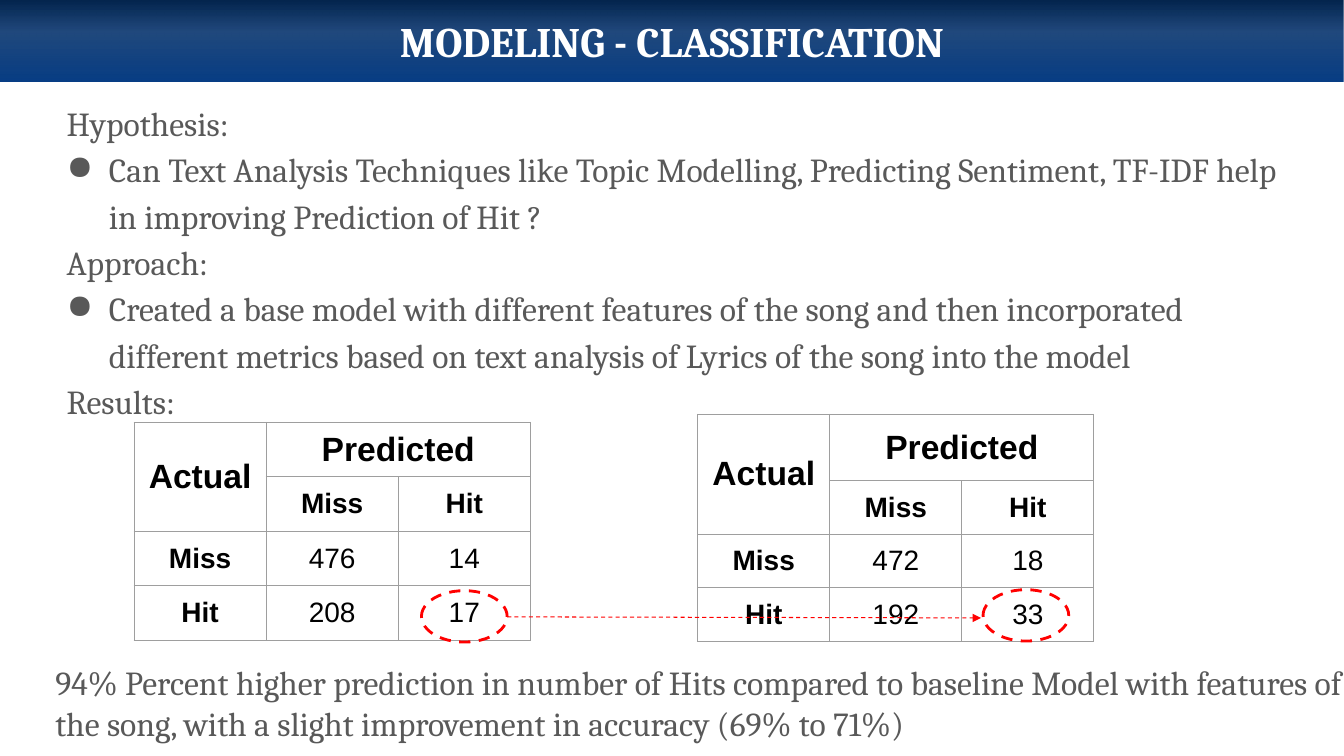
from lxml.etree import SubElement
from pptx import Presentation
from pptx.dml.color import RGBColor
from pptx.enum.dml import MSO_LINE
from pptx.enum.shapes import MSO_CONNECTOR, MSO_SHAPE
from pptx.enum.text import MSO_ANCHOR, PP_ALIGN
from pptx.oxml import parse_xml
from pptx.oxml.ns import nsdecls, qn
from pptx.util import Inches, Pt

COLORS = {
    "white": "FFFFFF", "black": "000000", "text": "595959",
    "border": "9E9E9E", "accent": "FF0000",
    "navy": "04244C", "mid_blue": "07346E", "blue": "083E85",
}
HEADING_FONT, TABLE_FONT = "Cambria", "Arial"

BODY = [
    ("Hypothesis:", False),
    ("Can Text Analysis Techniques like Topic Modelling, Predicting Sentiment, "
     "TF-IDF help in improving Prediction of Hit ?", True),
    ("Approach:", False),
    ("Created a base model with different features of the song and then incorporated "
     "different metrics based on text analysis of Lyrics of the song into the model", True),
    ("Results:", False),
]
CONCLUSION = ("94% Percent higher prediction in number of Hits compared to baseline Model "
              "with features of the song, with a slight improvement in accuracy (69% to 71%)")


def rgb(name):
    return RGBColor.from_string(COLORS[name])


class SlideBuilder:
    """Holds the style and the slide being filled."""

    def __init__(self, slide):
        self.s = slide

    def style(self, p, font, size, color, bold=False):
        for r in p.runs:
            r.font.name, r.font.size, r.font.bold = font, Pt(size), bold
            r.font.color.rgb = rgb(color)

    def insets(self, tf, x, y):
        tf.word_wrap = True
        tf.margin_left = tf.margin_right = Inches(x)
        tf.margin_top = tf.margin_bottom = Inches(y)

    def banner(self, text, width, height):
        sp = self.s.shapes.add_shape(MSO_SHAPE.RECTANGLE, 0, 0, Inches(width), Inches(height))
        sp.shadow.inherit = False
        sp.line.fill.background()
        sp.fill.gradient()
        sp.fill.gradient_angle = 270
        stops = sp._element.spPr.find(qn("a:gradFill")).find(qn("a:gsLst"))
        for stop in list(stops):
            stops.remove(stop)
        for pos, color, alpha in ((0, "navy", 100), (39, "mid_blue", 89), (100, "blue", 100)):
            stop = SubElement(stops, qn("a:gs"), pos=str(pos * 1000))
            clr = SubElement(stop, qn("a:srgbClr"), val=COLORS[color])
            if alpha < 100:
                SubElement(clr, qn("a:alpha"), val=str(alpha * 1000))
        tf = sp.text_frame
        self.insets(tf, 0.1, 0.1)
        tf.vertical_anchor = MSO_ANCHOR.MIDDLE
        tf.text = text
        p = tf.paragraphs[0]
        p.alignment = PP_ALIGN.CENTER
        self.style(p, HEADING_FONT, 30, "white", True)

    def text_box(self, x, y, w, h, inset_x, inset_y):
        sp = self.s.shapes.add_textbox(Inches(x), Inches(y), Inches(w), Inches(h))
        self.insets(sp.text_frame, inset_x, inset_y)
        return sp.text_frame

    def outline(self, x, y, w, h, items):
        """Plain headings with bulleted points under them."""
        tf = self.text_box(x, y, w, h, 0.13, 0.13)
        tf.text = "\n".join(text for text, _ in items)
        for p, (_, bulleted) in zip(tf.paragraphs, items):
            p.line_spacing = 1.15
            self.style(p, HEADING_FONT, 24, "text")
            pPr = p._p.get_or_add_pPr()
            pPr.set("marL", str(Inches(0.5 if bulleted else 0.08)))
            pPr.set("indent", str(Inches(-0.42 if bulleted else 0)))
            if bulleted:
                clr = SubElement(pPr, qn("a:buClr"))
                SubElement(clr, qn("a:srgbClr"), val=COLORS["text"])
                SubElement(pPr, qn("a:buChar"), char="●")

    def paragraph(self, x, y, w, h, text):
        tf = self.text_box(x, y, w, h, 0.1, 0.05)
        tf.text = text
        self.style(tf.paragraphs[0], HEADING_FONT, 24, "text")

    def cell(self, cell, text, size, bold):
        cell.fill.background()
        cell.vertical_anchor = MSO_ANCHOR.MIDDLE
        cell.margin_left = cell.margin_right = Inches(0.09)
        cell.margin_top = cell.margin_bottom = Inches(0.04)
        cell.text = text
        p = cell.text_frame.paragraphs[0]
        p.alignment = PP_ALIGN.CENTER
        self.style(p, TABLE_FONT, size, "black", bold)
        tcPr = cell._tc.get_or_add_tcPr()
        for i, side in enumerate("LRTB"):
            tcPr.insert(i, parse_xml(
                f'<a:ln{side} {nsdecls("a")} w="{Pt(0.75)}"><a:solidFill>'
                f'<a:srgbClr val="{COLORS["border"]}"/></a:solidFill></a:ln{side}>'))

    def confusion_matrix(self, x, y, row_heights, miss, hit):
        rows = [("Actual", "Predicted", ""), ("", "Miss", "Hit"),
                ("Miss", *miss), ("Hit", *hit)]
        col_width = 1.31
        table = self.s.shapes.add_table(
            4, 3, Inches(x), Inches(y), Inches(3 * col_width), Inches(sum(row_heights))).table
        table.first_row = table.horz_banding = False
        for col in table.columns:
            col.width = Inches(col_width)
        for i, (values, height) in enumerate(zip(rows, row_heights)):
            table.rows[i].height = Inches(height)
            for j, value in enumerate(values):
                self.cell(table.cell(i, j), str(value), 24 if i == 0 else 20, i < 2 or j == 0)
        table.cell(0, 0).merge(table.cell(1, 0))
        table.cell(0, 1).merge(table.cell(0, 2))

    def dashed(self, line, width):
        line.color.rgb = rgb("accent")
        line.width = Pt(width)
        line.dash_style = MSO_LINE.DASH

    def ring(self, x, y):
        sp = self.s.shapes.add_shape(
            MSO_SHAPE.OVAL, Inches(x), Inches(y), Inches(0.85), Inches(0.51))
        sp.shadow.inherit = False
        sp.fill.background()
        self.dashed(sp.line, 2)

    def arrow(self, x1, y1, x2, y2):
        c = self.s.shapes.add_connector(
            MSO_CONNECTOR.STRAIGHT, Inches(x1), Inches(y1), Inches(x2), Inches(y2))
        self.dashed(c.line, 0.75)
        SubElement(c.line._get_or_add_ln(), qn("a:tailEnd"), type="triangle")
        SubElement(c._element.spPr, qn("a:effectLst"))


def main():
    prs = Presentation()
    prs.slide_width, prs.slide_height = Inches(13.33), Inches(7.5)
    b = SlideBuilder(prs.slides.add_slide(prs.slide_layouts[6]))
    b.banner("MODELING - CLASSIFICATION", 13.33, 0.81)
    b.outline(0.45, 0.83, 12.42, 5.59, BODY)
    b.confusion_matrix(6.92, 4.11, [0.66] + [0.53] * 3, (472, 18), (192, 33))
    b.confusion_matrix(1.33, 4.19, [0.54] * 4, (476, 14), (208, 17))
    b.ring(4.18, 5.86)
    b.ring(9.75, 5.85)
    b.arrow(5.03, 6.12, 9.73, 6.13)
    b.paragraph(0.45, 6.52, 13.33, 0.91, CONCLUSION)
    prs.save("out.pptx")


if __name__ == "__main__":
    main()
